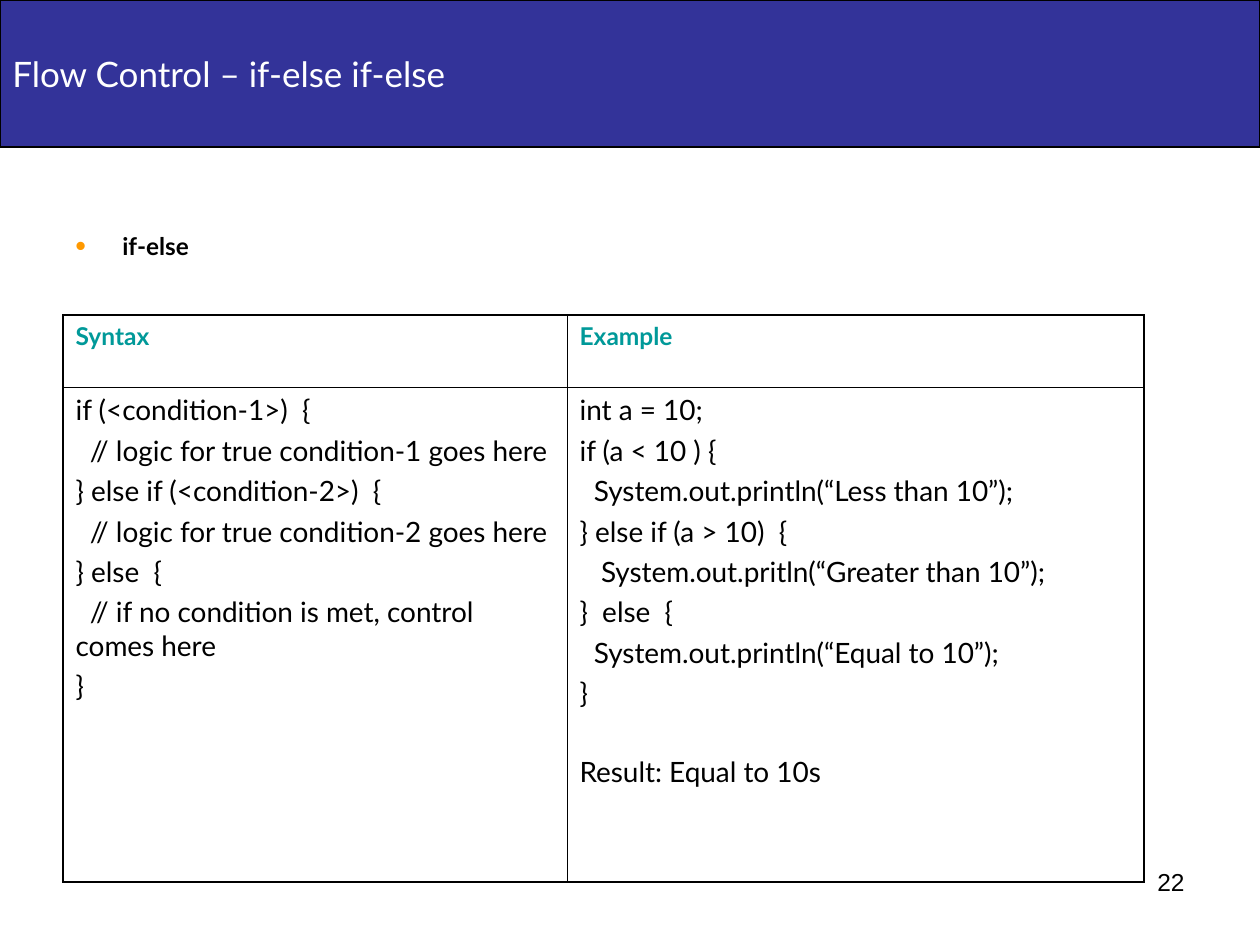
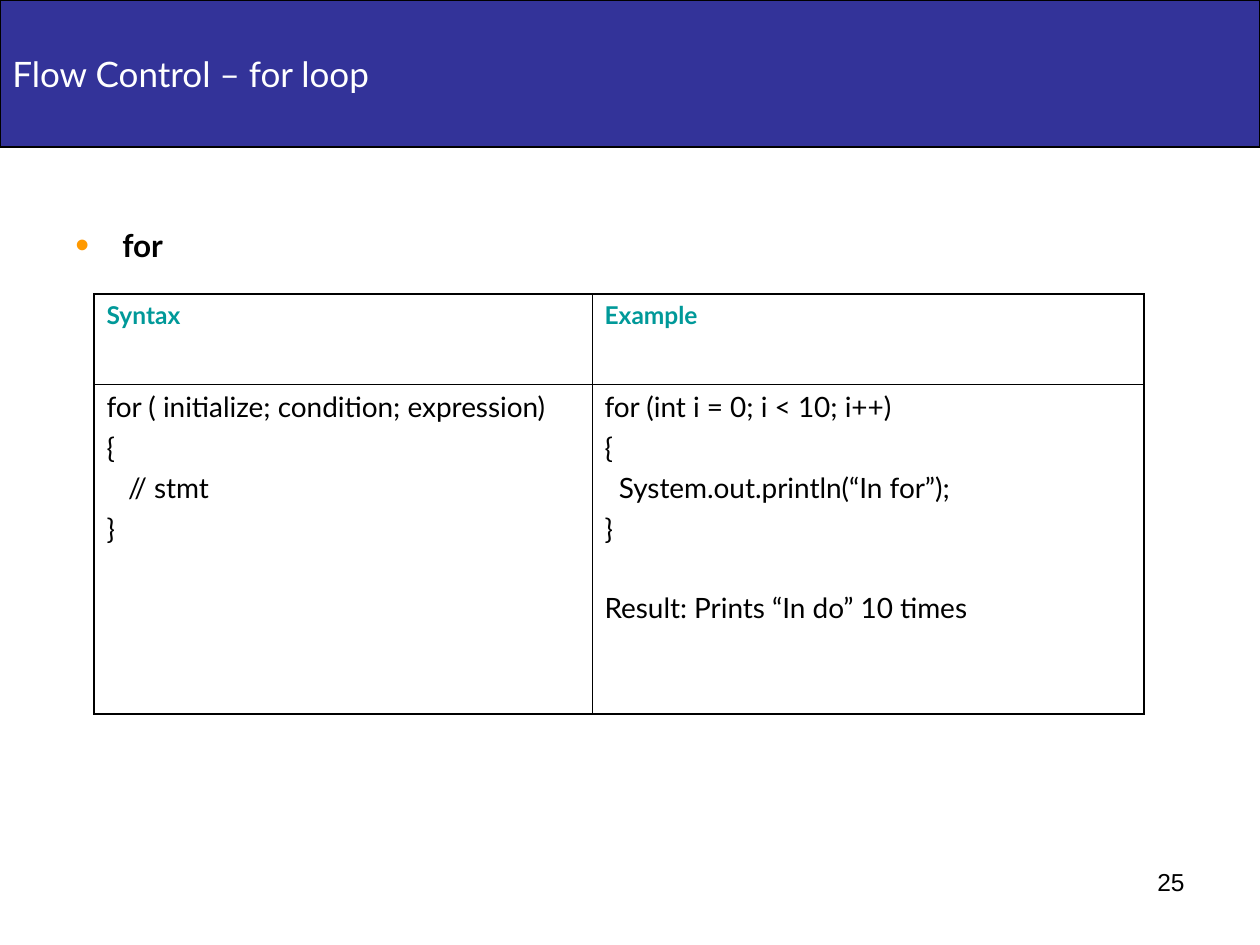
from lxml.etree import SubElement
from pptx import Presentation
from pptx.dml.color import RGBColor
from pptx.enum.shapes import MSO_SHAPE as Shape
from pptx.enum.text import MSO_ANCHOR as Anchor, PP_ALIGN as Align
from pptx.oxml import parse_xml
from pptx.oxml.ns import nsdecls, qn
from pptx.util import Emu, Pt

EMU_PER_PX = 914400 / 126
SLIDE_W, SLIDE_H = 1260, 945
BAND_H = 147
COLORS = {
    "band": "333399",
    "title": "FFFFFF",
    "heading": "009999",
    "bullet": "FF9900",
    "ink": "000000",
}
BODY_FONT, NUMBER_FONT = "Lato", "Arial"
OUTER_LINE, INNER_LINE = Pt(1.08), Pt(0.45)
LINE_GAP, RESULT_GAP = Pt(4), Pt(26)


def px(length):
    return Emu(round(length * EMU_PER_PX))


def px_box(*lengths):
    return [px(length) for length in lengths]


def rgb(name):
    return RGBColor.from_string(COLORS[name])


def style(paragraph, size, color, bold=False, font=BODY_FONT):
    for run in paragraph.runs:
        run.font.name = font
        run.font.size = Pt(size)
        run.font.bold = bold
        run.font.color.rgb = rgb(color)


def add_title_band(slide, title):
    band = slide.shapes.add_shape(Shape.RECTANGLE, *px_box(0, 0, SLIDE_W, BAND_H))
    band.shadow.inherit = False
    band.fill.solid()
    band.fill.fore_color.rgb = rgb("band")
    band.line.color.rgb = rgb("ink")
    band.line.width = Pt(0.75)
    frame = band.text_frame
    frame.vertical_anchor = Anchor.MIDDLE
    frame.text = title
    frame.paragraphs[0].alignment = Align.LEFT
    style(frame.paragraphs[0], 20, "title")


def add_topic(slide, box, topic, size, top_inset):
    topic_box = slide.shapes.add_textbox(*px_box(*box))
    frame = topic_box.text_frame
    frame.word_wrap = True
    frame.margin_top = px(top_inset)
    frame.text = topic
    paragraph = frame.paragraphs[0]
    props = paragraph._p.get_or_add_pPr()
    props.set("marL", str(px(47)))
    props.set("indent", str(-px(47)))
    bullet_color = SubElement(props, qn("a:buClr"))
    SubElement(bullet_color, qn("a:srgbClr"), val=COLORS["bullet"])
    SubElement(props, qn("a:buSzPct"), val="125000")
    SubElement(props, qn("a:buFont"), typeface=NUMBER_FONT)
    SubElement(props, qn("a:buChar"), char="•")
    style(paragraph, size, "ink", bold=True)


def set_borders(cell, row, col):
    """Draw heavy lines on the outside of the two-by-two grid, thin ones inside."""
    outer_sides = {"L": col == 0, "R": col == 1, "T": row == 0, "B": row == 1}
    props = cell._tc.get_or_add_tcPr()
    for index, (side, is_outer) in enumerate(outer_sides.items()):
        width = OUTER_LINE if is_outer else INNER_LINE
        props.insert(index, parse_xml(
            f'<a:ln{side} {nsdecls("a")} w="{width}"><a:solidFill>'
            f'<a:srgbClr val="{COLORS["ink"]}"/></a:solidFill></a:ln{side}>'))


def fill_code(cell, lines):
    cell.text_frame.text = "\n".join(lines)
    for index, paragraph in enumerate(cell.text_frame.paragraphs):
        if index:
            is_result = paragraph.text.startswith("Result:")
            paragraph.space_before = RESULT_GAP if is_result else LINE_GAP
        style(paragraph, 16, "ink")


def add_code_table(slide, origin, widths, heights, syntax, example):
    box = (*origin, sum(widths), sum(heights))
    table = slide.shapes.add_table(2, 2, *px_box(*box)).table
    table.first_row = table.horz_banding = False
    for column, width in zip(table.columns, widths):
        column.width = px(width)
    for row, height in zip(table.rows, heights):
        row.height = px(height)
    for col, (heading, code) in enumerate((("Syntax", syntax), ("Example", example))):
        heading_cell, code_cell = table.cell(0, col), table.cell(1, col)
        heading_cell.text_frame.text = heading
        style(heading_cell.text_frame.paragraphs[0], 14, "heading", bold=True)
        fill_code(code_cell, code)
        for row, cell in enumerate((heading_cell, code_cell)):
            cell.fill.background()
            set_borders(cell, row, col)


def add_page_number(slide, number):
    number_box = slide.shapes.add_textbox(*px_box(903, 861, 294, 66))
    frame = number_box.text_frame
    frame.word_wrap = True
    frame.text = str(number)
    frame.paragraphs[0].alignment = Align.RIGHT
    style(frame.paragraphs[0], 14, "ink", font=NUMBER_FONT)


def add_flow_slide(deck, title, number, topic, code_table):
    slide = deck.slides.add_slide(deck.slide_layouts[6])
    add_title_band(slide, title)
    add_topic(slide, **topic)
    add_code_table(slide, **code_table)
    add_page_number(slide, number)


FLOW_SLIDES = [
    dict(
        title="Flow Control – if-else if-else",
        number=22,
        topic=dict(box=(63, 220, 557, 63), topic="if-else", size=13.9, top_inset=11),
        code_table=dict(
            origin=(63, 315), widths=(504, 577), heights=(72, 495),
            syntax=[
                "if (<condition-1>)  {",
                "  // logic for true condition-1 goes here",
                "} else if (<condition-2>)  {",
                "  // logic for true condition-2 goes here",
                "} else  {",
                "  // if no condition is met, control comes here",
                "}",
            ],
            example=[
                "int a = 10;",
                "if (a < 10 ) {",
                "  System.out.println(“Less than 10”);",
                "} else if (a > 10)  {",
                "   System.out.pritln(“Greater than 10”);",
                "}  else  {",
                "  System.out.println(“Equal to 10”);",
                "}",
                "Result: Equal to 10s",
            ],
        ),
    ),
    dict(
        title="Flow Control – for loop",
        number=25,
        topic=dict(box=(63, 220, 557, 624), topic="for", size=18, top_inset=6),
        code_table=dict(
            origin=(94, 294), widths=(498, 552), heights=(90, 330),
            syntax=[
                "for ( initialize; condition; expression)",
                "{",
                "   // stmt",
                "}",
            ],
            example=[
                "for (int i = 0; i < 10; i++)",
                "{",
                "  System.out.println(“In for”);",
                "}",
                "Result: Prints “In do” 10 times",
            ],
        ),
    ),
]


def main():
    deck = Presentation()
    deck.slide_width, deck.slide_height = px(SLIDE_W), px(SLIDE_H)
    for flow_slide in FLOW_SLIDES:
        add_flow_slide(deck, **flow_slide)
    deck.save("out.pptx")


if __name__ == "__main__":
    main()
